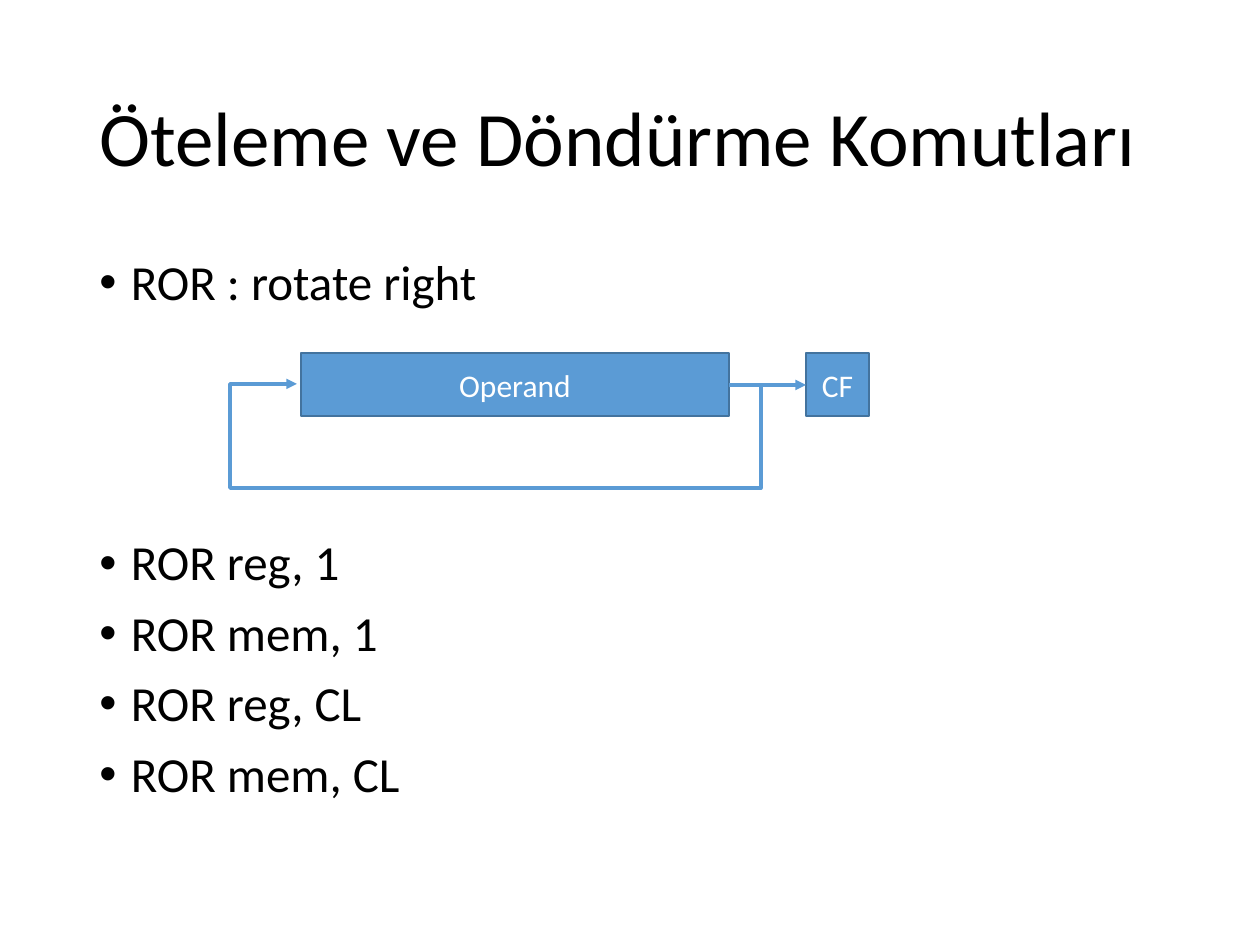
from dataclasses import dataclass

from lxml import etree
from pptx import Presentation
from pptx.dml.color import RGBColor
from pptx.enum.shapes import MSO_CONNECTOR, MSO_SHAPE
from pptx.enum.text import MSO_ANCHOR, PP_ALIGN
from pptx.oxml.ns import qn
from pptx.util import Emu, Pt

PX = 914400 // 126
FONT = "Calibri"
BLACK = RGBColor(0x00, 0x00, 0x00)
WHITE = RGBColor(0xFF, 0xFF, 0xFF)
BLUE = RGBColor(0x5B, 0x9B, 0xD5)
DARK_BLUE = RGBColor(0x43, 0x73, 0x9E)
RECT = MSO_SHAPE.RECTANGLE
STRAIGHT, ELBOW = MSO_CONNECTOR.STRAIGHT, MSO_CONNECTOR.ELBOW
MIDDLE, CENTER = MSO_ANCHOR.MIDDLE, PP_ALIGN.CENTER


@dataclass
class Box:
    x: int
    y: int
    w: int
    h: int

    def emu(self) -> list[Emu]:
        return [px(v) for v in (self.x, self.y, self.w, self.h)]


@dataclass
class Register:
    label: str
    box: Box


@dataclass
class Bullet:
    text: str
    before: int = 10


TITLE_BOX = Box(87, 50, 1086, 183)
BODY_BOX = Box(87, 252, 1086, 600)
OPERAND = Register("Operand", Box(301, 353, 428, 63))
CARRY = Register("CF", Box(806, 353, 63, 63))

# The second bullet leaves room for the diagram
BULLETS = [
    Bullet("ROR : rotate right", 0),
    Bullet("ROR reg, 1", 130),
    Bullet("ROR mem, 1"),
    Bullet("ROR reg, CL"),
    Bullet("ROR mem, CL"),
]


def px(n: int) -> Emu:
    return Emu(n * PX)


def style(p, size: int, color: RGBColor) -> None:
    for r in p.runs:
        r.font.name = FONT
        r.font.size = Pt(size)
        r.font.color.rgb = color


def add_title(s, text: str) -> None:
    tf = s.shapes.add_textbox(*TITLE_BOX.emu()).text_frame
    tf.word_wrap = True
    tf.vertical_anchor = MIDDLE
    tf.text = text
    p = tf.paragraphs[0]
    p.line_spacing = 0.9
    style(p, 44, BLACK)


def add_bullets(s, bullets: list[Bullet]) -> None:
    tf = s.shapes.add_textbox(*BODY_BOX.emu()).text_frame
    tf.word_wrap = True
    for i, bullet in enumerate(bullets):
        p = tf.add_paragraph() if i else tf.paragraphs[0]
        p.text = bullet.text
        pPr = p._p.get_or_add_pPr()
        pPr.set("marL", "228600")
        pPr.set("indent", "-228600")
        etree.SubElement(pPr, qn("a:buFont"), typeface="Arial")
        etree.SubElement(pPr, qn("a:buChar"), char="•")
        p.line_spacing = 0.9
        p.space_before = Pt(bullet.before)
        style(p, 28, BLACK)


def add_register(s, register: Register) -> None:
    sp = s.shapes.add_shape(RECT, *register.box.emu())
    sp.shadow.inherit = False
    sp.fill.solid()
    sp.fill.fore_color.rgb = BLUE
    sp.line.color.rgb = DARK_BLUE
    sp.line.width = Pt(1)
    tf = sp.text_frame
    tf.vertical_anchor = MIDDLE
    tf.text = register.label
    p = tf.paragraphs[0]
    p.alignment = CENTER
    style(p, 18, WHITE)


def add_arrow(s, kind, x1: int, y1: int, x2: int, y2: int):
    cn = s.shapes.add_connector(kind, px(x1), px(y1), px(x2), px(y2))
    cn.line.color.rgb = BLUE
    cn.line.width = Pt(2)
    etree.SubElement(cn.line._get_or_add_ln(), qn("a:tailEnd"), type="triangle")
    etree.SubElement(cn._element.spPr, qn("a:effectLst"))
    return cn


def add_loop(s, x1: int, y1: int, x2: int, y2: int,
             right: int, bottom: int, left: int) -> None:
    """Arrow that runs out to the right, under and back in from the left."""
    cn = add_arrow(s, ELBOW, x1, y1, x2, y2)
    geom = cn._element.spPr.find(qn("a:prstGeom"))
    geom.set("prst", "bentConnector5")
    av = geom.find(qn("a:avLst"))
    bends = [(right - x1) / (x2 - x1), (bottom - y1) / (y2 - y1),
             (left - x1) / (x2 - x1)]
    for i, bend in enumerate(bends, 1):
        etree.SubElement(av, qn("a:gd"), name=f"adj{i}",
                         fmla=f"val {round(bend * 100000)}")


def main() -> None:
    prs = Presentation()
    prs.slide_width, prs.slide_height = px(1260), px(945)
    s = prs.slides.add_slide(prs.slide_layouts[6])

    # Text
    add_title(s, "Öteleme ve Döndürme Komutları")
    add_bullets(s, BULLETS)

    # Rotate diagram
    for register in (CARRY, OPERAND):
        add_register(s, register)
    out_x = OPERAND.box.x + OPERAND.box.w
    mid_y = OPERAND.box.y + OPERAND.box.h // 2 + 1
    add_arrow(s, STRAIGHT, out_x, mid_y, CARRY.box.x, mid_y)
    add_loop(s, out_x, mid_y, OPERAND.box.x - 4, mid_y - 1,
             right=761, bottom=489, left=230)

    prs.save("out.pptx")


if __name__ == "__main__":
    main()
